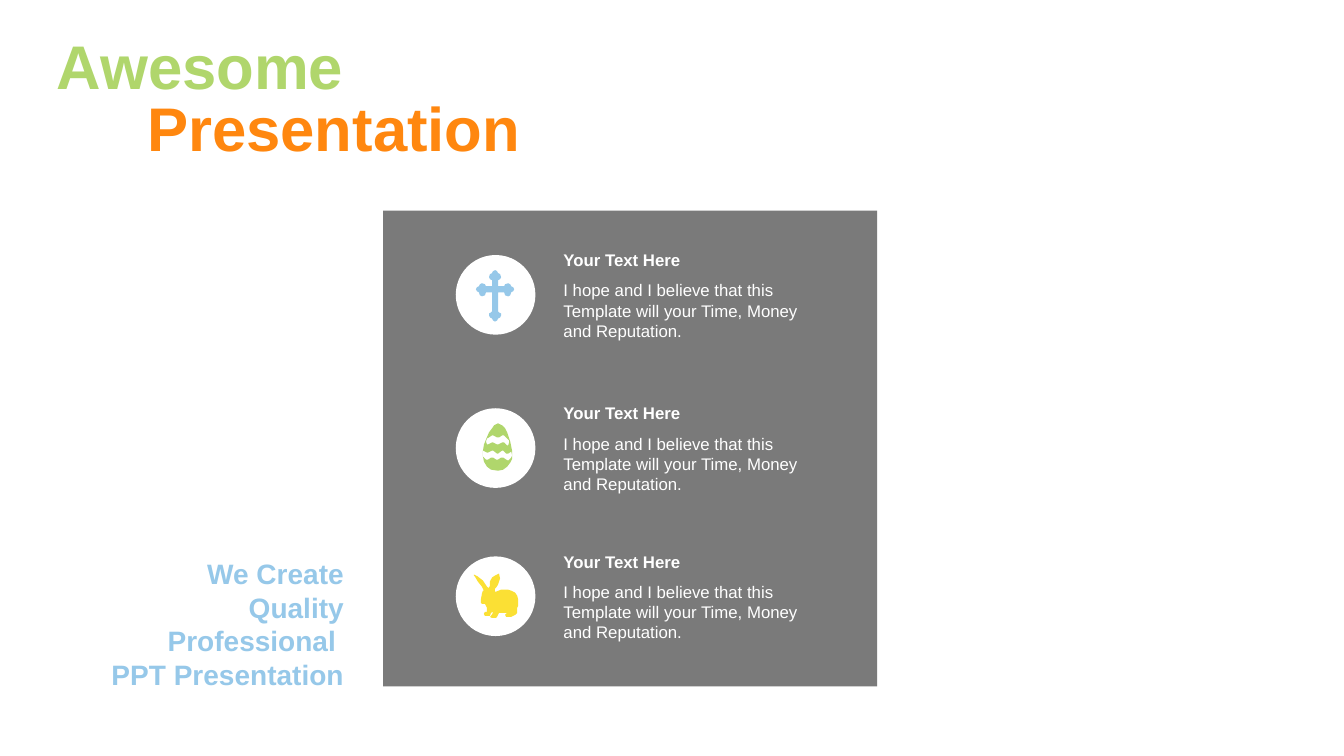
"""Build a slide with a two-part title, a tagline and three Easter-icon entries."""
from dataclasses import dataclass

from lxml.etree import SubElement
from pptx import Presentation
from pptx.dml.color import RGBColor
from pptx.enum.shapes import MSO_SHAPE as Preset
from pptx.enum.text import MSO_ANCHOR as Anchor, PP_ALIGN as Align
from pptx.oxml.ns import qn
from pptx.shapes.autoshape import Shape
from pptx.slide import Slide
from pptx.text.text import TextFrame
from pptx.util import Inches, Pt

FONT = "Arial"
WHITE = RGBColor(0xFF, 0xFF, 0xFF)
GRAY = RGBColor(0x59, 0x59, 0x59)
BLUE = RGBColor(0x96, 0xC8, 0xE9)
GREEN = RGBColor(0xB0, 0xD6, 0x6C)
ORANGE = RGBColor(0xFF, 0x87, 0x0F)
YELLOW = RGBColor(0xFB, 0xE0, 0x34)

HEADING = "Your Text Here"
BODY = "I hope and I believe that this Template will your Time, Money and Reputation."
TAGLINE = ["We Create", "Quality Professional ", "PPT Presentation"]

CIRCLE_LEFT, CIRCLE_SIZE = 4.52, 0.79
TEXT_LEFT, TEXT_WIDTH = 5.49, 2.63

Outline = list[tuple[int, int]]

CROSS_HALF: Outline = [
    (0, 0), (2, 1), (3, 3), (5, 4), (6, 7), (5, 9), (3, 10), (3, 16), (9, 16),
    (10, 14), (13, 13), (15, 14), (16, 16), (18, 17), (19, 19), (18, 21),
    (16, 22), (15, 25), (13, 26), (10, 25), (9, 22), (3, 22), (3, 41), (4, 42),
    (6, 43), (6, 45), (5, 47), (3, 48), (2, 50), (0, 51),
]
CROSS: Outline = CROSS_HALF + [(-x, y) for x, y in CROSS_HALF[-2:0:-1]]

EGG_SHELL: Outline = [
    (0, 33), (1, 38), (4, 43), (8, 46), (15, 47), (20, 46), (24, 43), (27, 39),
    (29, 35), (29, 28), (27, 18), (24, 9), (22, 5), (19, 2), (15, 0), (11, 2),
    (9, 5), (6, 9), (3, 16), (1, 21), (0, 27),
]
EGG_UPPER_WAVE: Outline = [
    (6, 14), (9, 12), (10, 12), (14, 14), (16, 14), (19, 12), (21, 12),
    (24, 15), (26, 17), (26, 19), (25, 22), (24, 22), (21, 19), (19, 19),
    (15, 21), (14, 21), (10, 19), (9, 19), (5, 21), (4, 21), (3, 18), (4, 15),
]
EGG_LOWER_WAVE: Outline = [
    (25, 30), (28, 28), (29, 32), (28, 34), (27, 35), (25, 37), (23, 36),
    (20, 34), (18, 34), (15, 36), (13, 36), (10, 34), (8, 34), (5, 36), (3, 36),
    (1, 34), (0, 33), (0, 27), (4, 29), (5, 29), (9, 27), (10, 27), (14, 30),
    (15, 30), (19, 27), (20, 27), (23, 30),
]

RABBIT: Outline = [
    (0, 2), (1, 3), (4, 8), (8, 13), (9, 15), (10, 17), (9, 17), (8, 20),
    (7, 26), (7, 29), (8, 30), (11, 30), (13, 34), (13, 38), (11, 38), (10, 40),
    (11, 42), (16, 42), (17, 39), (19, 38), (19, 39), (17, 42), (16, 43),
    (18, 44), (22, 44), (23, 43), (25, 39), (33, 39), (31, 41), (32, 43),
    (37, 43), (41, 41), (43, 39), (43, 34), (44, 32), (44, 26), (43, 22),
    (41, 19), (37, 17), (34, 16), (27, 16), (22, 18), (21, 18), (21, 15),
    (22, 14), (24, 11), (25, 8), (26, 5), (25, 0), (23, 1), (21, 2), (18, 4),
    (16, 8), (16, 12), (15, 14), (14, 14), (13, 13), (9, 7), (4, 3), (0, 1),
]


@dataclass(frozen=True)
class Entry:
    circle_top: float
    icon_left: float
    icon_top: float
    color: RGBColor
    outlines: list[Outline]


ENTRIES = [
    Entry(2.53, 4.91, 2.68, BLUE, [CROSS]),
    Entry(4.05, 4.79, 4.20, GREEN, [EGG_SHELL, EGG_UPPER_WAVE, EGG_LOWER_WAVE]),
    Entry(5.52, 4.70, 5.69, YELLOW, [RABBIT]),
]


def paint(shape: Shape, color: RGBColor) -> None:
    shape.fill.solid()
    shape.fill.fore_color.rgb = color
    shape.line.fill.background()
    shape.shadow.inherit = False


def write(frame: TextFrame, lines: list[str], size: int, color: RGBColor,
          bold: bool = True, align: Align = Align.LEFT) -> None:
    frame.word_wrap = True
    frame.text = "\n".join(lines)
    for paragraph in frame.paragraphs:
        paragraph.alignment = align
        font = paragraph.font
        font.name, font.size, font.bold = FONT, Pt(size), bold
        font.color.rgb = color


def add_text_frame(slide: Slide, left: float, top: float, width: float,
                   height: float) -> TextFrame:
    box = slide.shapes.add_textbox(Inches(left), Inches(top), Inches(width), Inches(height))
    return box.text_frame


def add_title(slide: Slide) -> None:
    title = slide.shapes.title
    title.left, title.top = Inches(1.36), Inches(0.96)
    title.width, title.height = Inches(4.13), Inches(0.7)
    write(title.text_frame, ["Presentation"], 44, ORANGE)
    title.text_frame.vertical_anchor = Anchor.MIDDLE
    title.text_frame.paragraphs[0].line_spacing = 0.9

    opening = add_text_frame(slide, 0.44, 0.22, 3.09, 0.84)
    write(opening, ["Awesome"], 44, GREEN, align=Align.CENTER)
    opening.vertical_anchor = Anchor.MIDDLE


def add_panel(slide: Slide) -> None:
    panel = slide.shapes.add_shape(
        Preset.RECTANGLE, Inches(3.8), Inches(2.09), Inches(4.9), Inches(4.72))
    paint(panel, GRAY)
    color = panel.fill._xPr.find(qn("a:solidFill"))[0]
    SubElement(color, qn("a:alpha"), val="80000")


def add_tagline(slide: Slide) -> None:
    frame = add_text_frame(slide, 1.03, 5.52, 2.42, 1.35)
    frame.margin_left = frame.margin_right = Inches(0.04)
    frame.margin_top = frame.margin_bottom = 0
    write(frame, TAGLINE, 20, BLUE, align=Align.RIGHT)


def add_icon(slide: Slide, entry: Entry) -> None:
    first, *holes = entry.outlines
    builder = slide.shapes.build_freeform(*first[0], scale=Inches(0.01))
    builder.add_line_segments(first[1:])
    for hole in holes:
        builder.move_to(*hole[0])
        builder.add_line_segments(hole[1:])
    icon = builder.convert_to_shape(Inches(entry.icon_left), Inches(entry.icon_top))
    paint(icon, entry.color)


def add_entry(slide: Slide, entry: Entry) -> None:
    circle = slide.shapes.add_shape(
        Preset.OVAL, Inches(CIRCLE_LEFT), Inches(entry.circle_top),
        Inches(CIRCLE_SIZE), Inches(CIRCLE_SIZE))
    paint(circle, WHITE)
    add_icon(slide, entry)
    heading = add_text_frame(slide, TEXT_LEFT, entry.circle_top - 0.1, TEXT_WIDTH, 0.3)
    write(heading, [HEADING], 12, WHITE)
    body = add_text_frame(slide, TEXT_LEFT, entry.circle_top + 0.2, TEXT_WIDTH, 0.71)
    write(body, [BODY], 12, WHITE, bold=False)


def main() -> None:
    presentation = Presentation()
    presentation.slide_width, presentation.slide_height = Inches(13.33), Inches(7.5)
    slide = presentation.slides.add_slide(presentation.slide_layouts.get_by_name("Title Only"))
    add_title(slide)
    add_panel(slide)
    add_tagline(slide)
    for entry in ENTRIES:
        add_entry(slide, entry)
    presentation.save("out.pptx")


if __name__ == "__main__":
    main()
